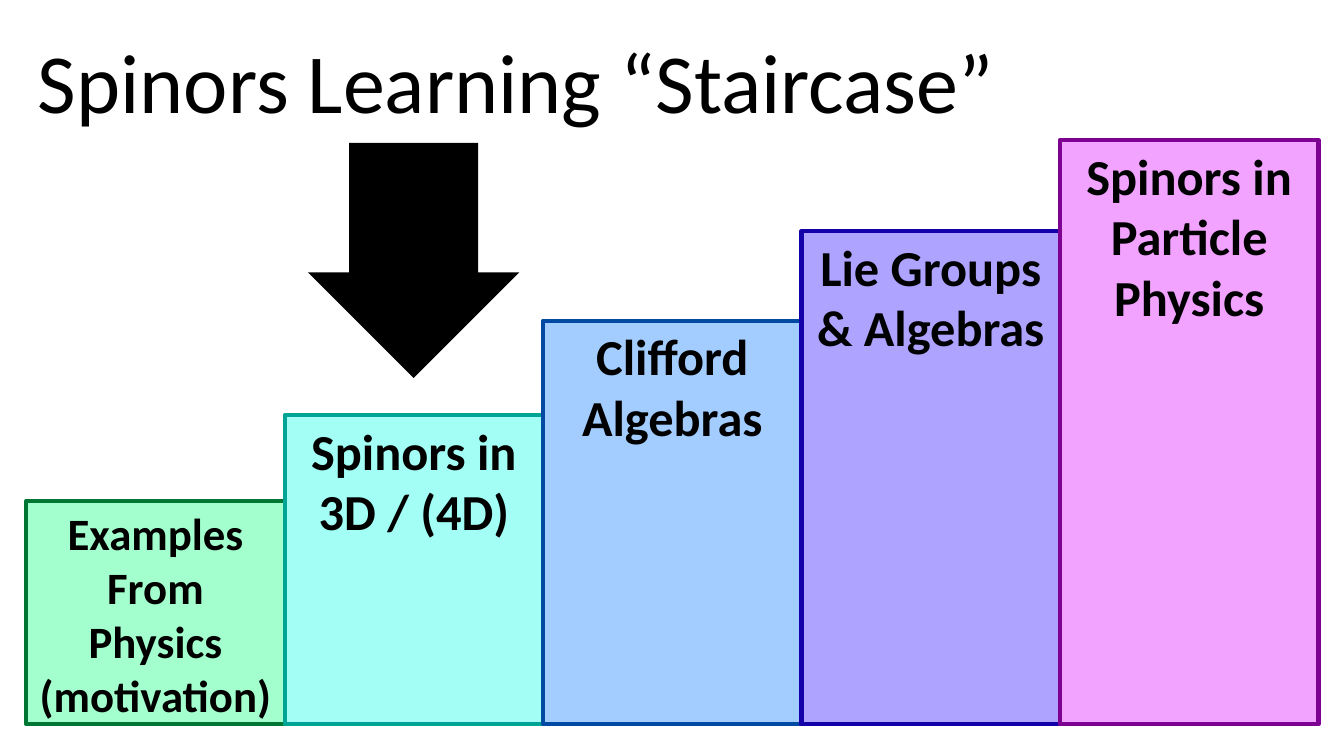
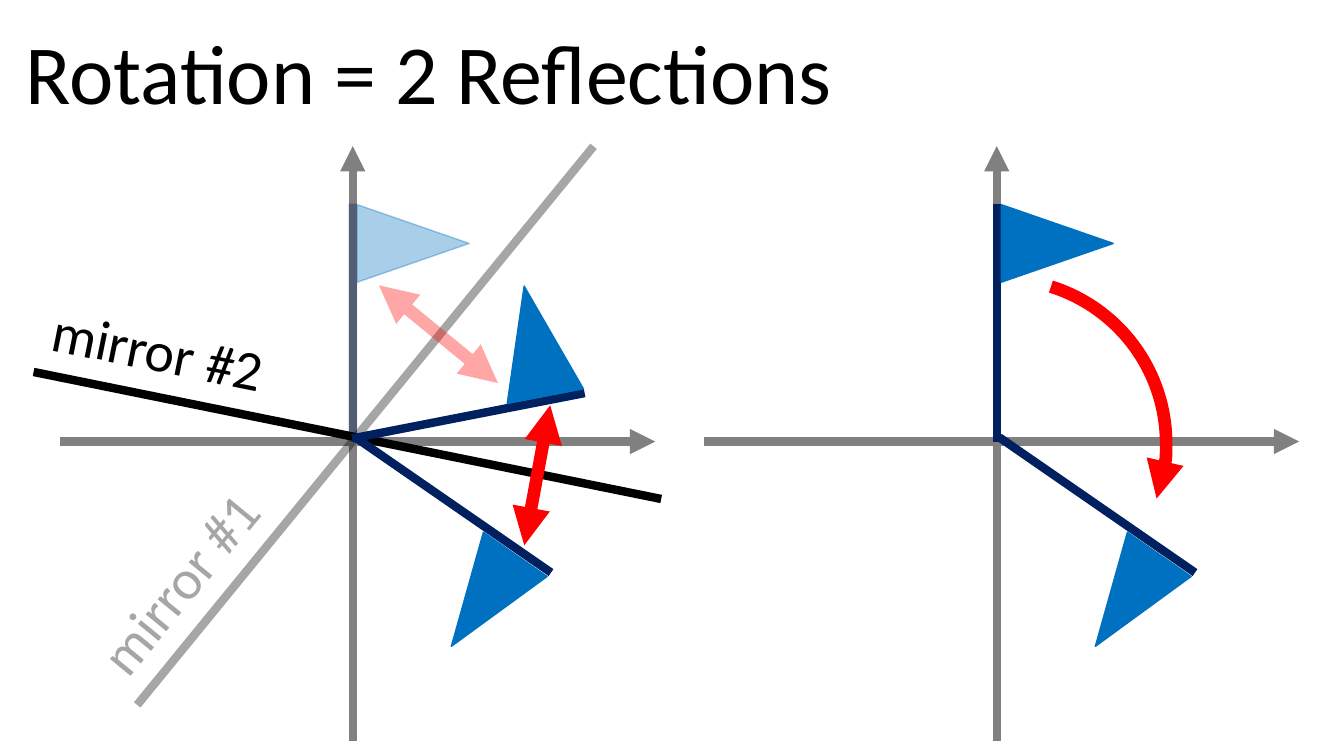
from lxml import etree
from pptx import Presentation
from pptx.dml.color import RGBColor as Rgb
from pptx.enum.shapes import MSO_CONNECTOR as Connector, MSO_SHAPE as Shape
from pptx.enum.text import MSO_ANCHOR as Anchor, PP_ALIGN as Align
from pptx.oxml.ns import qn
from pptx.util import Pt

COLORS = {
    "paper": "FFFFFF", "ink": "000000", "axis": "808080", "pole": "002060",
    "flag": "0070C0", "turn": "FF0000",
    "green": "A3FFCD", "green edge": "007635",
    "teal": "A3FFF6", "teal edge": "00A494",
    "blue": "A3CDFF", "blue edge": "004AA4",
    "indigo": "AEA3FF", "indigo edge": "1400A8",
    "violet": "F2A3FF", "violet edge": "7D0092",
}
FADED = 34


class Sketch:
    font = "Calibri"

    def __init__(self):
        self.deck = Presentation()
        self.deck.slide_width, self.deck.slide_height = Pt(960), Pt(540)
        self.page = None

    def new_page(self, title, left, top, width):
        self.page = self.deck.slides.add_slide(self.deck.slide_layouts[6])
        self.paint(self.page.background.fill, "paper")
        self.label(title, left, top, width, 80, size=60)

    def paint(self, fill, color):
        fill.solid()
        fill.fore_color.rgb = Rgb.from_string(COLORS[color])

    def fade(self, element, alpha):
        if alpha < 100:
            for tint in element.iter(qn("a:srgbClr")):
                etree.SubElement(tint, qn("a:alpha"), val=str(alpha * 1000))

    def add_text(self, box, text, size, bold=False, align=Align.LEFT, alpha=100):
        frame = box.text_frame
        layout = {"word_wrap": True, "vertical_anchor": Anchor.TOP}
        for name, value in layout.items():
            setattr(frame, name, value)
        para = frame.paragraphs[0]
        para.alignment = align
        span = para.add_run()
        span.text = text
        style = {"name": self.font, "size": Pt(size), "bold": bold}
        for name, value in style.items():
            setattr(span.font, name, value)
        self.paint(span.font.fill, "ink")
        self.fade(box.element.txBody, alpha)

    def label(self, text, left, top, width, height, size=40, turn=0, alpha=100):
        box = self.page.shapes.add_textbox(Pt(left), Pt(top), Pt(width), Pt(height))
        box.rotation = turn
        self.add_text(box, text, size, alpha=alpha)

    def shape(self, kind, left, top, width, height, fill=None, edge=None,
              weight=1, alpha=100, turn=0, adjust=()):
        shape = self.page.shapes.add_shape(kind, Pt(left), Pt(top), Pt(width), Pt(height))
        shape.shadow.inherit = False
        shape.rotation = turn
        for index, value in enumerate(adjust):
            shape.adjustments[index] = value
        if fill:
            self.paint(shape.fill, fill)
            self.fade(shape.element.spPr, alpha)
        else:
            shape.fill.background()
        if edge:
            self.stroke(shape, edge, weight, alpha)
        else:
            shape.line.fill.background()
        return shape

    def stroke(self, shape, color, weight, alpha=100, heads=()):
        shape.line.width = Pt(weight)
        self.paint(shape.line.fill, color)
        outline = shape.element.spPr.find(qn("a:ln"))
        self.fade(outline, alpha)
        for end in heads:
            etree.SubElement(outline, qn(f"a:{end}"), type="triangle")

    def line(self, start, end, color, weight=6, alpha=100, heads=()):
        points = [Pt(value) for value in (*start, *end)]
        line = self.page.shapes.add_connector(Connector.STRAIGHT, *points)
        self.stroke(line, color, weight, alpha, heads)
        etree.SubElement(line.element.spPr, qn("a:effectLst"))

    def step(self, text, color, left, top, width, bottom, size):
        step = self.shape(Shape.RECTANGLE, left, top, width, bottom - top,
                          color, f"{color} edge", 3)
        self.add_text(step, text, size, True, Align.CENTER)

    def axes(self, x, y):
        self.line((x, y + 214), (x, y - 211), "axis", heads=["tailEnd"])
        self.line((x - 209, y), (x + 216, y), "axis", heads=["tailEnd"])

    def flag(self, origin, pose, alpha=100):
        x, y = origin
        foot, tip, center, turn = pose
        width, height = 55.4, 80
        self.line((x + foot[0], y + foot[1]), (x + tip[0], y + tip[1]), "pole", alpha=alpha)
        self.shape(Shape.ISOSCELES_TRIANGLE, x + center[0] - width / 2,
                   y + center[1] - height / 2, width, height,
                   "flag", "flag", alpha=alpha, turn=turn)


STEPS = [
    ("Examples From Physics (motivation)", "green", 358, 32),
    ("Spinors in 3D / (4D)", "teal", 296.5, 36),
    ("Clifford Algebras", "blue", 229, 36),
    ("Lie Groups & Algebras", "indigo", 165, 36),
    ("Spinors in Particle Physics", "violet", 100, 36),
]
UPRIGHT = ((0, 0), (0, -170), (43.2, -141.5), 90)
REFLECTED = ((-0.5, -2.2), (165.6, -34.6), (130, -71.7), 349.1)
ROTATED = ((1.8, -3), (141.6, 93.6), (93.2, 113.4), 214.8)


def staircase(sketch):
    sketch.new_page("Spinors Learning “Staircase”", 20, 17.5, 711)
    width = 184.6
    for index, (text, color, top, size) in enumerate(STEPS):
        sketch.step(text, color, 18.8 + index * width, top, width, 517.3, size)
    sketch.shape(Shape.DOWN_ARROW, 220, 102, 151, 168, "ink", adjust=(0.61, 0.5))


def reflections(sketch):
    sketch.new_page("Rotation = 2 Reflections", 11, 11, 609)
    left, right = (252, 315.4), (712, 315.4)
    both = ["headEnd", "tailEnd"]

    sketch.axes(*right)
    for pose in (UPRIGHT, ROTATED):
        sketch.flag(right, pose)

    sketch.axes(*left)
    sketch.line((98, 503.5), (424, 104.5), "ink", alpha=FADED)
    sketch.flag(left, UPRIGHT, FADED)
    sketch.label("mirror #1", 40.3, 380, 188.6, 55.4, turn=309.4, alpha=FADED)
    sketch.line((24, 265.7), (472.3, 356.4), "ink")
    sketch.label("mirror #2", 28.8, 224.6, 195, 62, turn=11.4)
    sketch.line((393, 289.5), (374.5, 389.5), "turn", 9, heads=both)
    sketch.line((270.7, 203.8), (355.7, 273.6), "turn", 9, FADED, both)
    for pose in (ROTATED, REFLECTED):
        sketch.flag(left, pose)

    arc = sketch.shape(Shape.ARC, 598.3, 199.4, 234.7, 234.7, adjust=(172.43, 11.77))
    sketch.stroke(arc, "turn", 9, heads=["tailEnd"])


def main():
    sketch = Sketch()
    staircase(sketch)
    reflections(sketch)
    sketch.deck.save("out.pptx")


if __name__ == "__main__":
    main()
